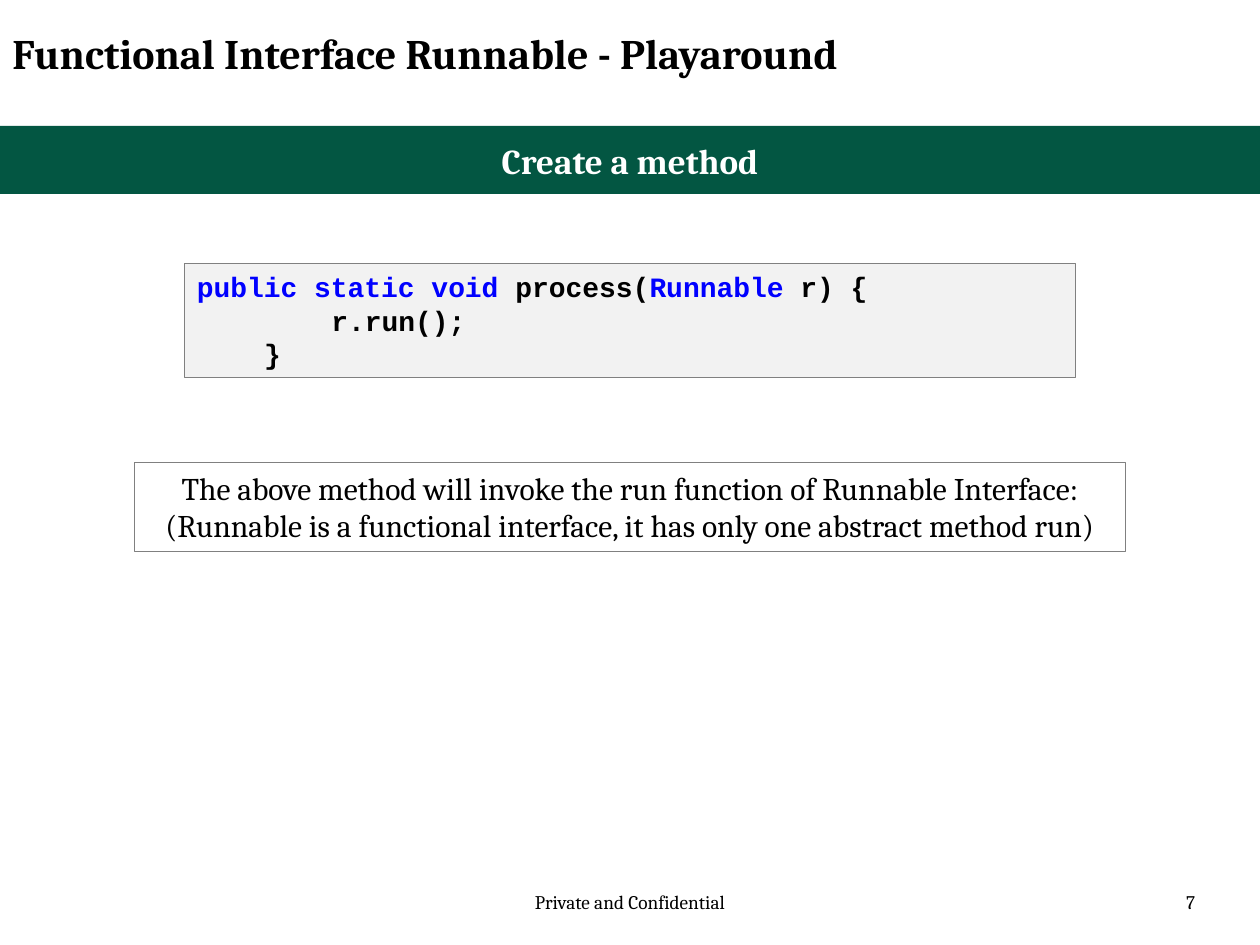
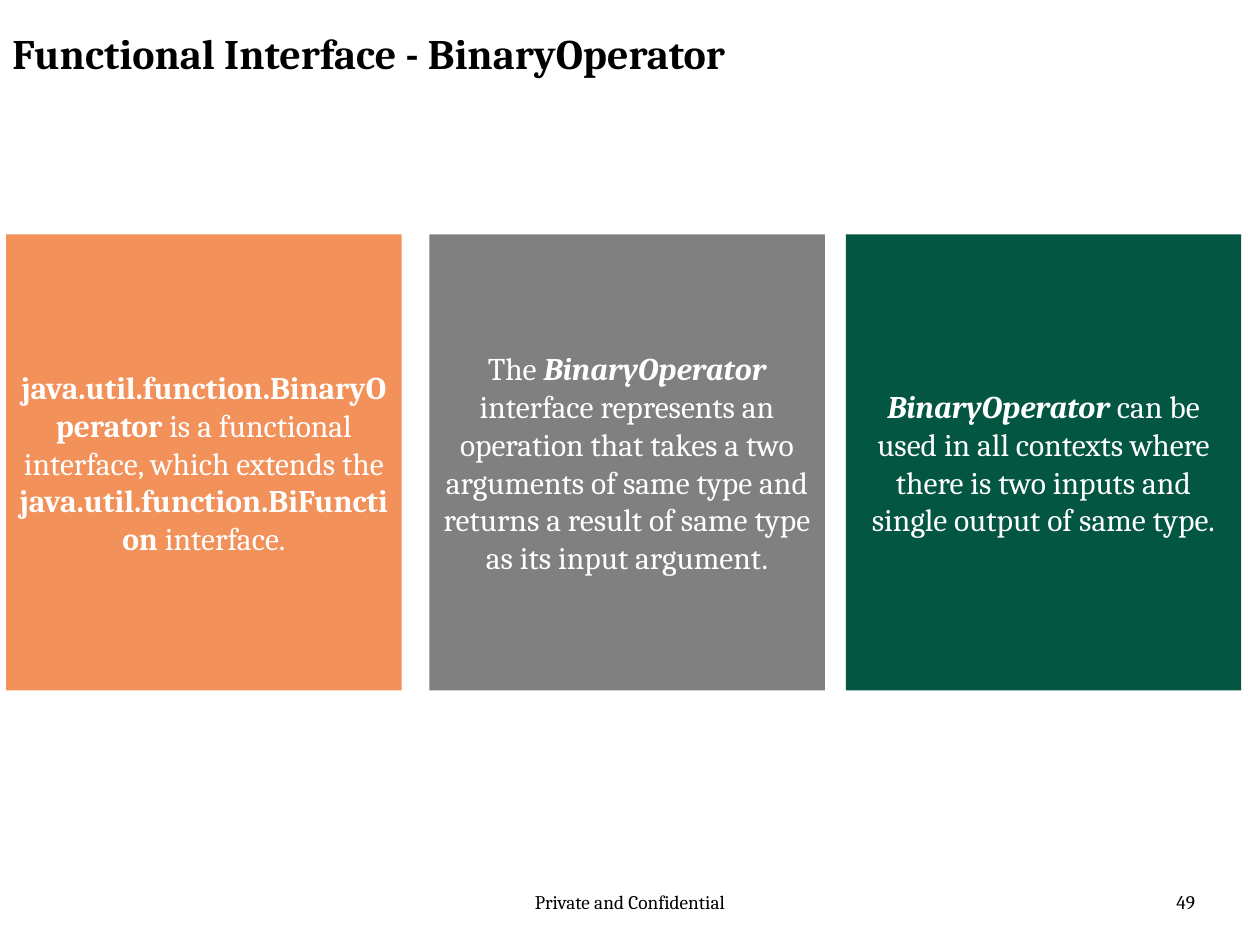
from pptx import Presentation
from pptx.dml.color import RGBColor
from pptx.enum.shapes import MSO_SHAPE
from pptx.enum.text import MSO_ANCHOR, PP_ALIGN
from pptx.util import Pt

COLORS = {
    "black": "000000",
    "white": "FFFFFF",
    "green": "035642",
    "orange": "F2915A",
    "gray": "808080",
    "code_fill": "F2F2F2",
    "keyword": "0000FF",
}
BODY_FONT = "Cambria"
CODE_FONT = "Courier New"
CODE_SIZE = 16
CODE_CHAR_WIDTH = 0.6 * CODE_SIZE
CARD_TOP, CARD_WIDTH, CARD_HEIGHT = 134, 226, 260.6


def color(name):
    return RGBColor.from_string(COLORS[name])


def add_span(para, text, size, ink="black", style="", font=BODY_FONT):
    """Add one run; style may hold "b" for bold and "i" for italic."""
    span = para.add_run()
    span.text = text
    span.font.name = font
    span.font.size = Pt(size)
    span.font.color.rgb = color(ink)
    span.font.bold = "b" in style
    span.font.italic = "i" in style


def add_label(page, bounds, text, size, align=PP_ALIGN.LEFT, style=""):
    box = page.shapes.add_textbox(*map(Pt, bounds))
    box.text_frame.word_wrap = True
    para = box.text_frame.paragraphs[0]
    para.alignment = align
    add_span(para, text, size, style=style)


def add_panel(page, bounds, fill=None, outline=None, anchor=MSO_ANCHOR.MIDDLE):
    """Add a rectangle and return its text frame."""
    panel = page.shapes.add_shape(MSO_SHAPE.RECTANGLE, *map(Pt, bounds))
    panel.shadow.inherit = False
    if fill:
        panel.fill.solid()
        panel.fill.fore_color.rgb = color(fill)
    else:
        panel.fill.background()
    if outline:
        panel.line.color.rgb = color(outline)
        panel.line.width = Pt(0.75)
    else:
        panel.line.fill.background()
    frame = panel.text_frame
    frame.word_wrap = True
    frame.vertical_anchor = anchor
    return frame


def fill_centered(frame, spans, size, ink):
    para = frame.paragraphs[0]
    para.alignment = PP_ALIGN.CENTER
    for text, style in spans:
        add_span(para, text, size, ink, style)


def add_code(page, bounds, lines):
    """Each line is its indent in characters and its (text, colour) spans."""
    frame = add_panel(page, bounds, "code_fill", "gray", MSO_ANCHOR.TOP)
    for number, (indent, spans) in enumerate(lines):
        para = frame.add_paragraph() if number else frame.paragraphs[0]
        para.alignment = PP_ALIGN.LEFT
        para._p.get_or_add_pPr().set("marL", str(Pt(indent * CODE_CHAR_WIDTH)))
        for text, ink in spans:
            add_span(para, text, CODE_SIZE, ink, "b", CODE_FONT)


def add_page(deck, title, number):
    page = deck.slides.add_slide(deck.slide_layouts[6])
    add_label(page, (246, 505.4, 228, 28.8), "Private and Confidential", 11,
              PP_ALIGN.CENTER)
    add_label(page, (522, 505.4, 168, 28.8), str(number), 11, PP_ALIGN.RIGHT)
    add_label(page, (0, 12.2, 546, 44.6), title, 24, style="b")
    return page


def build_runnable(deck):
    page = add_page(deck, "Functional Interface Runnable - Playaround", 7)
    band = add_panel(page, (0, 72, 720, 38.9), "green")
    fill_centered(band, [("Create a method", "b")], 20, "white")
    add_code(page, (105.5, 150.5, 509, 65.2), [
        (0, [("public static void", "keyword"), (" process(", "black"),
             ("Runnable", "keyword"), (" r) {", "black")]),
        (8, [("r.run();", "black")]),
        (4, [("}", "black")]),
    ])
    remark = add_panel(page, (77, 264.2, 566, 51), outline="gray",
                       anchor=MSO_ANCHOR.TOP)
    fill_centered(remark, [(
        "The above method will invoke the run function of Runnable Interface: "
        "(Runnable is a functional interface, it has only one abstract method run)",
        "")], 18, "black")


def build_binary_operator(deck):
    page = add_page(deck, "Functional Interface - BinaryOperator", 49)
    cards = [
        (3.5, "orange", [
            ("java.util.function.BinaryOperator ", "b"),
            ("is a functional interface, which extends the ", ""),
            ("java.util.function.BiFunction ", "b"),
            ("interface.", "")]),
        (245.3, "gray", [
            ("The ", ""),
            ("BinaryOperator", "bi"),
            (" interface represents an operation that takes a two arguments of "
             "same type and returns a result of same type as its input argument.",
             "")]),
        (483.3, "green", [
            ("BinaryOperator", "bi"),
            (" can be used in all contexts where there is two inputs and "
             "single output of same type.", "")]),
    ]
    for left, fill, spans in cards:
        card = add_panel(page, (left, CARD_TOP, CARD_WIDTH, CARD_HEIGHT), fill)
        fill_centered(card, spans, 18, "white")


def main():
    deck = Presentation()
    deck.slide_width, deck.slide_height = Pt(720), Pt(540)
    build_runnable(deck)
    build_binary_operator(deck)
    deck.save("out.pptx")


if __name__ == "__main__":
    main()
